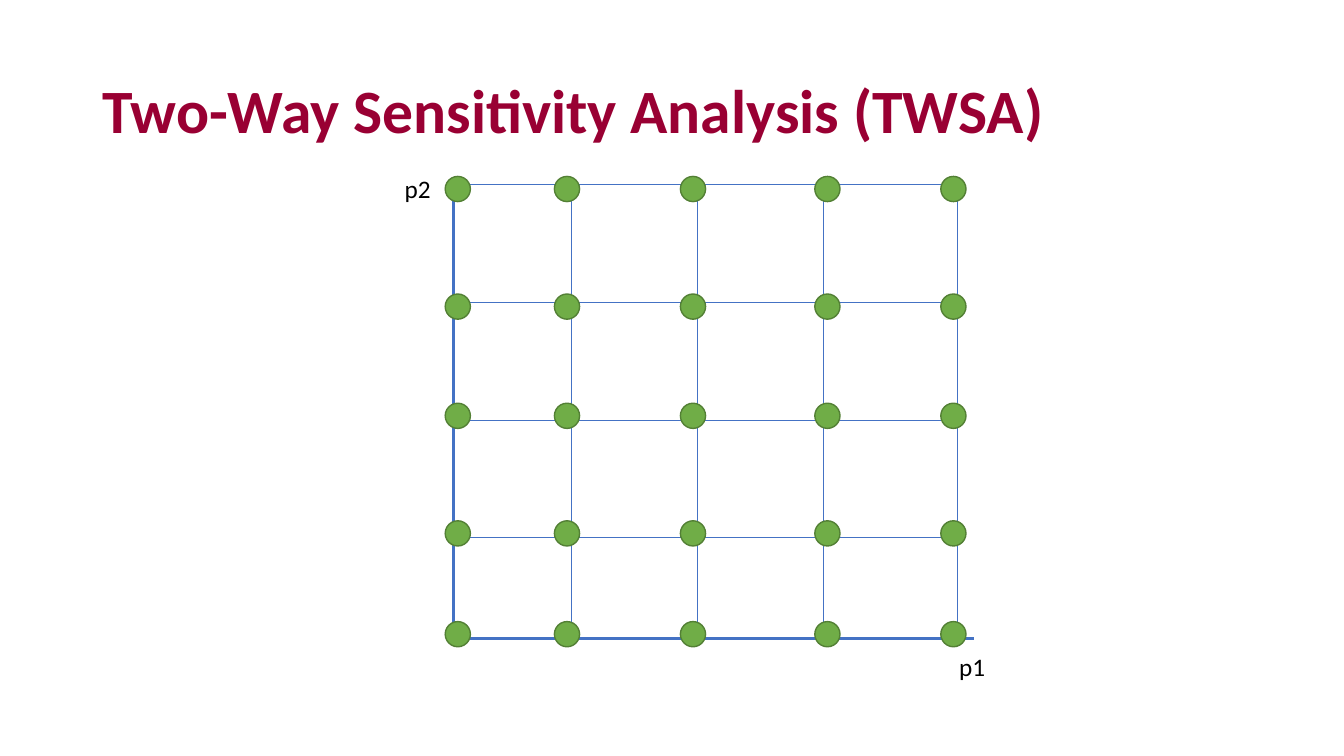
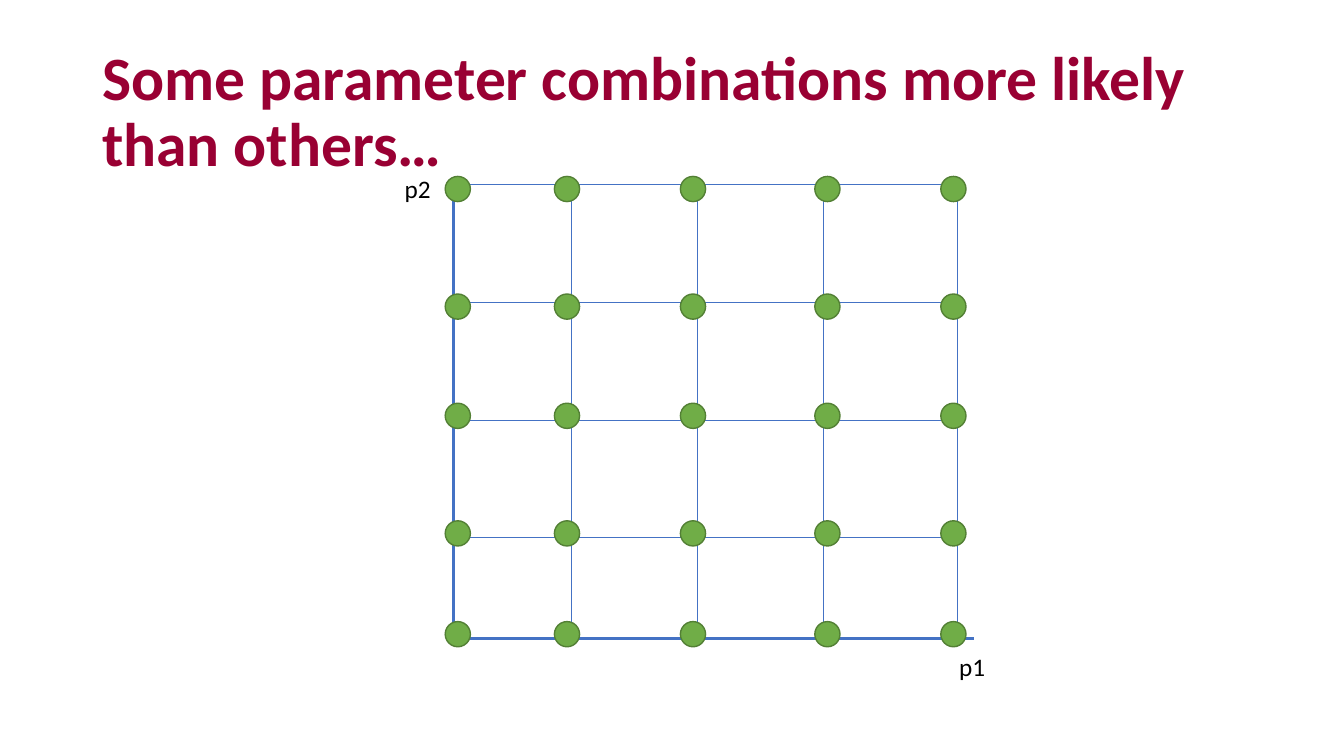
from dataclasses import dataclass
from itertools import product

from lxml.etree import SubElement
from pptx import Presentation
from pptx.dml.color import RGBColor
from pptx.enum.shapes import MSO_CONNECTOR, MSO_SHAPE
from pptx.enum.text import MSO_ANCHOR, MSO_AUTO_SIZE
from pptx.oxml.ns import qn
from pptx.util import Pt


@dataclass(frozen=True)
class Theme:
    font: str = "Calibri"
    title_color: str = "990033"
    label_color: str = "000000"
    line_color: str = "4472C4"
    dot_fill: str = "70AD47"
    dot_outline: str = "538035"
    title_size: float = 44
    label_size: float = 18
    axis_width: float = 2.25
    grid_width: float = 0.5
    dot_width: float = 1


@dataclass(frozen=True)
class Box:
    left: float
    top: float
    width: float
    height: float

    def at(self, left, top, width, height):
        return Box(self.left + left, self.top + top, width, height)

    def lengths(self):
        return Pt(self.left), Pt(self.top), Pt(self.width), Pt(self.height)


THEME = Theme()
SLIDE_SIZE = (960, 540)
TITLE_BOX = Box(66, 28.75, 828, 104.4)
GRID_BOX = Box(324, 132, 360, 324)
COLUMN_LINES = (84, 174, 264, 360)
ROW_LINES = (0, 84, 168, 252)
DOT_COLUMNS = (3, 81, 171, 267, 357)
DOT_ROWS = (3, 87, 165, 249, 321)
DOT_SIZE = 18
AXIS_OVERHANG = 12
LABEL_SIZE = (33, 29)
TITLES = (
    "Two-Way Sensitivity Analysis (TWSA)",
    "Some parameter combinations more likely than others…",
)


def add_text(slide, box, text, *, size, color, bold=False, wrap=True,
             anchor=MSO_ANCHOR.TOP, line_spacing=None):
    shape = slide.shapes.add_textbox(*box.lengths())
    frame = shape.text_frame
    frame.word_wrap = wrap
    frame.auto_size = MSO_AUTO_SIZE.NONE if wrap else MSO_AUTO_SIZE.SHAPE_TO_FIT_TEXT
    frame.vertical_anchor = anchor
    paragraph = frame.paragraphs[0]
    paragraph.line_spacing = line_spacing
    run = paragraph.add_run()
    run.text = text
    run.font.name = THEME.font
    run.font.size = Pt(size)
    run.font.bold = bold
    run.font.color.rgb = RGBColor.from_string(color)


def add_line(slide, box, width):
    left, top, across, down = box.lengths()
    connector = slide.shapes.add_connector(
        MSO_CONNECTOR.STRAIGHT, left, top, left + across, top + down)
    connector.line.color.rgb = RGBColor.from_string(THEME.line_color)
    connector.line.width = Pt(width)
    SubElement(connector._element.spPr, qn("a:effectLst"))


def add_dot(slide, box):
    shape = slide.shapes.add_shape(MSO_SHAPE.OVAL, *box.lengths())
    shape.shadow.inherit = False
    shape.fill.solid()
    shape.fill.fore_color.rgb = RGBColor.from_string(THEME.dot_fill)
    shape.line.color.rgb = RGBColor.from_string(THEME.dot_outline)
    shape.line.width = Pt(THEME.dot_width)


def add_title(slide, box, text):
    add_text(slide, box, text, size=THEME.title_size, color=THEME.title_color,
             bold=True, anchor=MSO_ANCHOR.MIDDLE, line_spacing=0.9)


def add_axes(slide, box):
    add_line(slide, box.at(0, 0, 0, box.height), THEME.axis_width)
    add_line(slide, box.at(0, box.height, box.width + AXIS_OVERHANG, 0), THEME.axis_width)
    for text, left, top in (("p2", -42, -12), ("p1", box.width - 6, box.height + 6)):
        add_text(slide, box.at(left, top, *LABEL_SIZE), text,
                 size=THEME.label_size, color=THEME.label_color, wrap=False)


def add_parameter_grid(slide, box):
    add_axes(slide, box)
    for left in COLUMN_LINES:
        add_line(slide, box.at(left, 0, 0, box.height), THEME.grid_width)
    for top in ROW_LINES:
        add_line(slide, box.at(0, top, box.width, 0), THEME.grid_width)
    radius = DOT_SIZE / 2
    for top, left in product(DOT_ROWS, DOT_COLUMNS):
        add_dot(slide, box.at(left - radius, top - radius, DOT_SIZE, DOT_SIZE))


def add_grid_slide(presentation, title):
    slide = presentation.slides.add_slide(presentation.slide_layouts[6])
    add_title(slide, TITLE_BOX, title)
    add_parameter_grid(slide, GRID_BOX)


def main():
    presentation = Presentation()
    presentation.slide_width, presentation.slide_height = map(Pt, SLIDE_SIZE)
    for title in TITLES:
        add_grid_slide(presentation, title)
    presentation.save("out.pptx")


if __name__ == "__main__":
    main()
